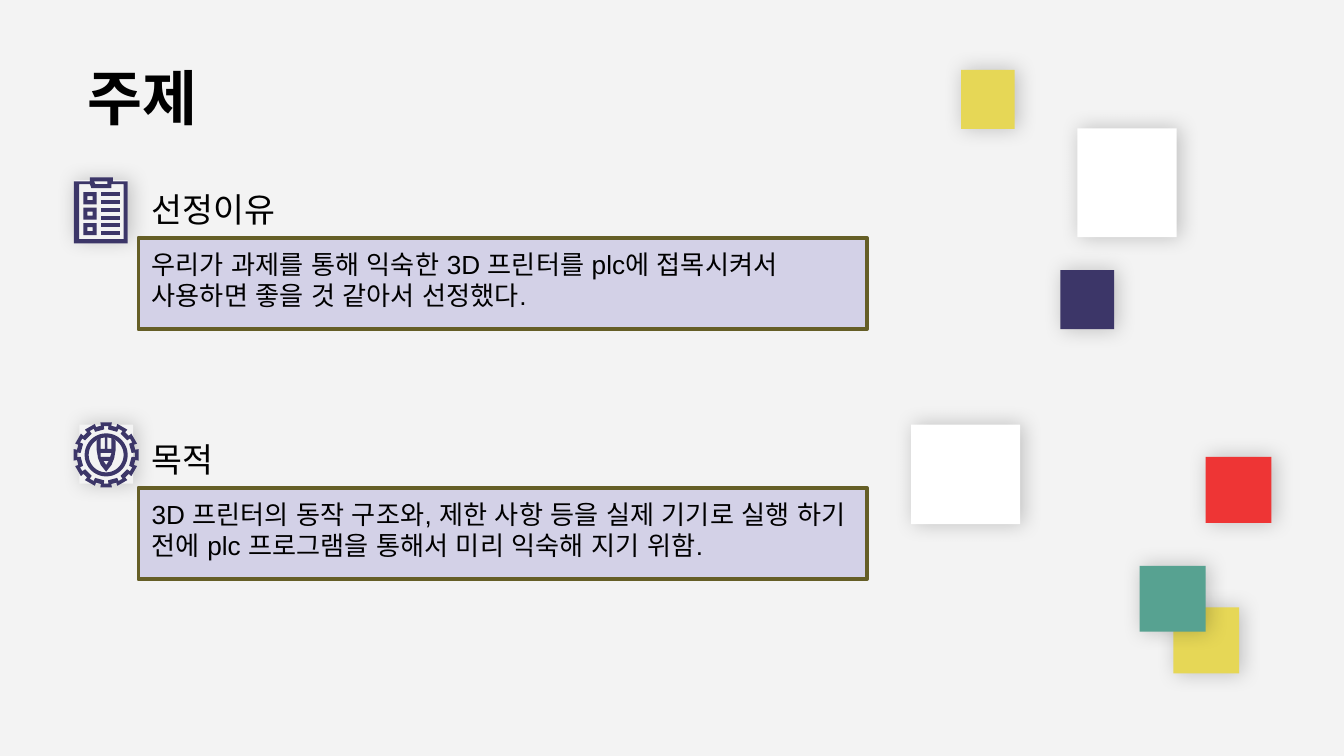
"""Build the topic slide: two captioned panels with icons beside scattered squares."""
from math import cos, radians, sin

from lxml import etree
from pptx import Presentation
from pptx.dml.color import RGBColor
from pptx.enum.shapes import MSO_SHAPE
from pptx.enum.text import MSO_ANCHOR, MSO_AUTO_SIZE, PP_ALIGN
from pptx.oxml.ns import qn
from pptx.util import Inches, Pt

RECT = MSO_SHAPE.RECTANGLE
TOP = MSO_ANCHOR.TOP
GROW = MSO_AUTO_SIZE.SHAPE_TO_FIT_TEXT
LEFT = PP_ALIGN.LEFT

THEME = {
    "font": "Arial", "title": 32, "heading": 18, "body": 14,
    "text": "000000", "back": "F3F3F3", "panel": "D3D1E7", "border": "655E26",
    "navy": "3C3668", "white": "FFFFFF", "yellow": "E6D756",
    "green": "57A291", "red": "EE3535", "shadow": "000000",
}

prs = Presentation()
prs.slide_width, prs.slide_height = Inches(10), Inches(5.625)
s = prs.slides.add_slide(prs.slide_layouts[5])
s.background.fill.solid()
s.background.fill.fore_color.rgb = RGBColor.from_string(THEME["back"])


def paint(sp, color):
    sp.shadow.inherit = False
    sp.fill.solid()
    sp.fill.fore_color.rgb = RGBColor.from_string(THEME[color])
    sp.line.fill.background()


def add_outline(contours):
    fb = None
    for contour in contours:
        pts = [(Inches(x), Inches(y)) for x, y in contour]
        if fb is None:
            fb = s.shapes.build_freeform(*pts[0])
        else:
            fb.move_to(*pts[0])
        fb.add_line_segments(pts[1:], close=True)
    paint(fb.convert_to_shape(), "navy")


squares = [
    (8.73, 4.52, 0.49, 0.49, 270, "yellow"),
    (8.48, 4.21, 0.49, 0.49, 270, "green"),
    (8.97, 3.4, 0.49, 0.49, 90, "red"),
    (6.78, 3.16, 0.81, 0.74, 0, "white"),
    (7.87, 2.03, 0.44, 0.4, 90, "navy"),
    (7.98, 0.99, 0.81, 0.74, 90, "white"),
    (7.13, 0.54, 0.44, 0.4, 90, "yellow"),
    (0.53, 1.36, 0.44, 0.4, 90, "back"),
    (0.57, 3.18, 0.44, 0.4, 90, "back"),
]
for x, y, w, h, turn, color in squares:
    sp = s.shapes.add_shape(RECT, Inches(x), Inches(y), Inches(w), Inches(h))
    paint(sp, color)
    sp.rotation = turn
    effects = sp._element.spPr.find(qn("a:effectLst"))
    shadow = etree.SubElement(effects, qn("a:outerShdw"), blurRad=str(Pt(11.2)),
                              dist=str(Pt(1.5)), dir="0", algn="ctr", rotWithShape="0")
    tint = etree.SubElement(shadow, qn("a:srgbClr"), val=THEME["shadow"])
    etree.SubElement(tint, qn("a:alpha"), val="22000")

panels = [
    (1.36, "선정이유",
     "우리가 과제를 통해 익숙한 3D 프린터를 plc에 접목시켜서 사용하면 좋을 것 같아서 선정했다."),
    (3.22, "목적",
     "3D 프린터의 동작 구조와, 제한 사항 등을 실제 기기로 실행 하기 전에 plc 프로그램을 통해서 미리 익숙해 지기 위함."),
]
labels = [(s.shapes.title, 0.55, 0.4, 2.64, 0.64, "주제", "title")]
for y, heading, body in panels:
    sp = s.shapes.add_shape(RECT, Inches(1.03), Inches(y + 0.41), Inches(5.42), Inches(0.68))
    paint(sp, "panel")
    sp.line.color.rgb = RGBColor.from_string(THEME["border"])
    sp.line.width = Pt(2)
    labels.append((None, 1.03, y, 1.83, 0.4, heading, "heading"))
    labels.append((None, 1.03, y + 0.44, 5.42, 0.57, body, "body"))

for sp, x, y, w, h, text, size in labels:
    box = Inches(x), Inches(y), Inches(w), Inches(h)
    sp = sp or s.shapes.add_textbox(*box)
    sp.left, sp.top, sp.width, sp.height = box
    tf = sp.text_frame
    tf.text = text
    tf.word_wrap = True
    tf.auto_size = GROW
    tf.vertical_anchor = TOP
    p = tf.paragraphs[0]
    p.alignment = LEFT
    p.font.size = Pt(THEME[size])
    p.font.bold = size == "title"
    p.font.color.rgb = RGBColor.from_string(THEME["text"])
    p.font.name = THEME["font"]
    latin = p._p.pPr.find(qn("a:defRPr")).find(qn("a:latin"))
    latin.addnext(latin.makeelement(qn("a:ea"), {"typeface": THEME["font"]}))

for i in range(6):
    y = 1.43 + i * 0.058
    add_outline([[(0.75, y), (0.89, y), (0.89, y + 0.03), (0.75, y + 0.03)]])
for i in range(3):
    y = 1.43 + i * 0.115
    add_outline([
        [(0.62, y), (0.72, y), (0.72, y + 0.09), (0.62, y + 0.09)],
        [(0.65, y + 0.03), (0.69, y + 0.03), (0.69, y + 0.06), (0.65, y + 0.06)],
    ])
add_outline([
    [(0.67, 1.32), (0.67, 1.35), (0.55, 1.35), (0.55, 1.81),
     (0.95, 1.81), (0.95, 1.35), (0.84, 1.35), (0.84, 1.32)],
    [(0.92, 1.37), (0.92, 1.78), (0.59, 1.78), (0.59, 1.37),
     (0.67, 1.37), (0.68, 1.4), (0.83, 1.4), (0.83, 1.37)],
    [(0.8, 1.35), (0.8, 1.37), (0.71, 1.37), (0.7, 1.35)],
])

cx, cy = 0.79, 3.385
gear = []
for root, tip, half in ((0.22, 0.245, 10), (0.19, 0.215, 4.5)):
    tooth = [(root, -half), (tip, -half), (tip, half), (root, half)]
    gear.append([(cx + r * sin(radians(30 * k + a)), cy - r * cos(radians(30 * k + a)))
                 for k in range(12) for r, a in tooth])
ring = [[(cx + r * cos(radians(a)), cy + r * sin(radians(a))) for a in range(0, 360, 6)]
        for r in (0.16, 0.13)]
pencil = [
    [(0.72, 3.28), (0.72, 3.35), (0.73, 3.41), (0.75, 3.46), (0.79, 3.51),
     (0.83, 3.46), (0.85, 3.41), (0.86, 3.35), (0.86, 3.28), (0.82, 3.24), (0.76, 3.24)],
    [(0.75, 3.26), (0.78, 3.25), (0.78, 3.34), (0.75, 3.34)],
    [(0.8, 3.25), (0.83, 3.26), (0.83, 3.34), (0.8, 3.34)],
    [(0.75, 3.37), (0.83, 3.37), (0.82, 3.4), (0.75, 3.4)],
    [(0.77, 3.43), (0.81, 3.43), (0.79, 3.46)],
]
for contours in (pencil, ring, gear):
    add_outline(contours)

prs.save("out.pptx")
